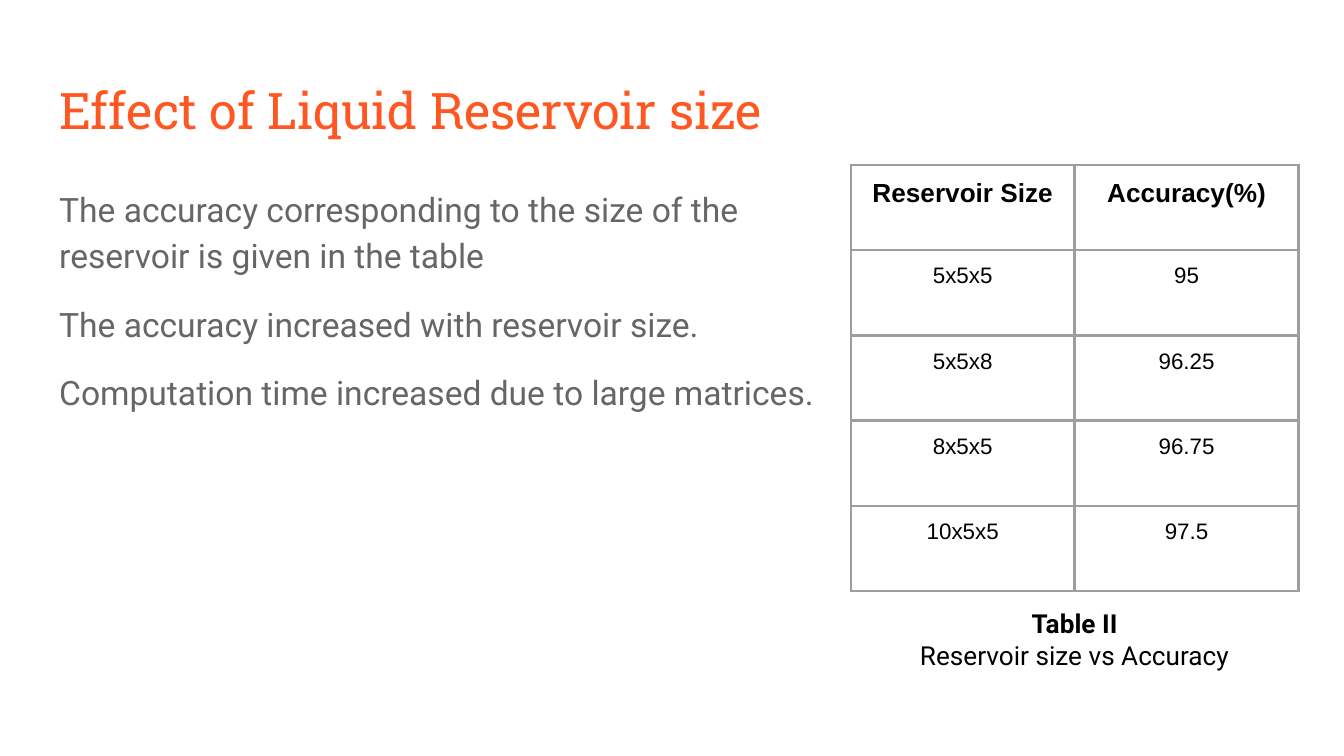
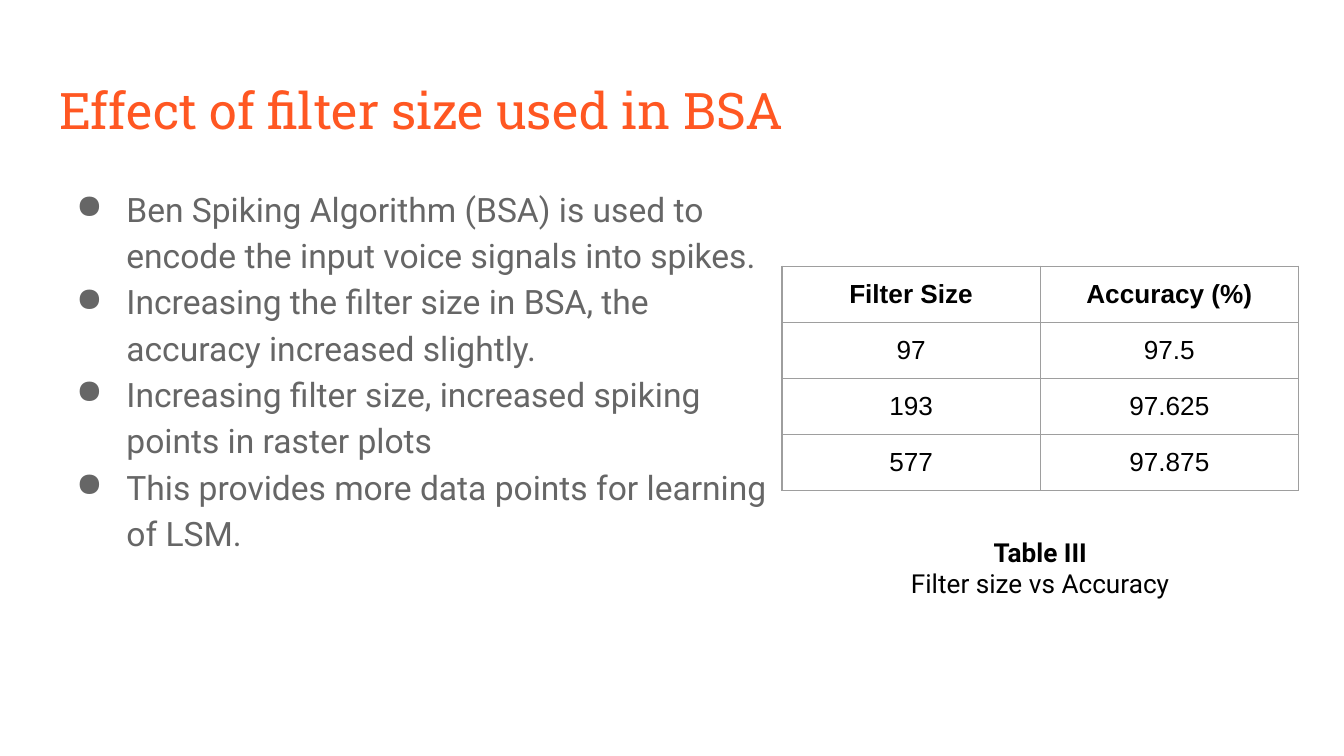
from dataclasses import dataclass

from lxml.etree import SubElement
from pptx import Presentation
from pptx.dml.color import RGBColor
from pptx.enum.text import MSO_ANCHOR, MSO_AUTO_SIZE, PP_ALIGN
from pptx.oxml.ns import qn
from pptx.util import Cm, Pt


@dataclass(frozen=True)
class Theme:
    accent: str = "FF5722"
    body: str = "666666"
    ink: str = "000000"
    border: str = "9E9E9E"
    background: str = "FFFFFF"
    title_font: str = "Roboto Slab"
    text_font: str = "Roboto"
    table_font: str = "Arial"
    title_size: int = 27
    body_size: int = 18
    label_size: int = 14
    small_size: int = 12


THEME = Theme()
SLIDE_WIDTH, SLIDE_HEIGHT = Cm(25.4), Cm(14.29)
LEFT, RIGHT = Cm(0.87), Cm(24.54)
TITLE_TOP, TITLE_HEIGHT = Cm(1.24), Cm(1.6)
BODY_TOP, BODY_HEIGHT = Cm(3.2), Cm(9.5)
CAPTION_HEIGHT = Cm(1.7)
INSET = Cm(0.25)
BULLET_INDENT, BULLET_HANG = Cm(1.27), Cm(0.95)

SLIDES = [
    {
        "title": "Effect of Liquid Reservoir size",
        "body": [
            "The accuracy corresponding to the size of the reservoir is given in the table",
            "The accuracy increased with reservoir size.",
            "Computation time increased due to large matrices.",
        ],
        "bulleted": False,
        "rows": [
            ("Reservoir Size", "Accuracy(%)"),
            ("5x5x5", "95"),
            ("5x5x8", "96.25"),
            ("8x5x5", "96.75"),
            ("10x5x5", "97.5"),
        ],
        "table_left": Cm(16.08),
        "table_top": Cm(3.12),
        "row_height": Cm(1.61),
        "border_width": Pt(1.5),
        "value_size": THEME.small_size,
        "anchor": MSO_ANCHOR.TOP,
        "caption": ("Table II", "Reservoir size vs Accuracy"),
        "caption_top": Cm(11.23),
    },
    {
        "title": "Effect of filter size used in BSA",
        "body": [
            "Ben Spiking Algorithm (BSA) is used to encode the input voice signals into spikes.",
            "Increasing the filter size in BSA, the accuracy increased slightly.",
            "Increasing filter size, increased spiking points in raster plots",
            "This provides more data points for learning of LSM.",
        ],
        "bulleted": True,
        "rows": [
            ("Filter Size", "Accuracy (%)"),
            ("97", "97.5"),
            ("193", "97.625"),
            ("577", "97.875"),
        ],
        "table_left": Cm(14.78),
        "table_top": Cm(5.03),
        "row_height": Cm(1.06),
        "border_width": Pt(0.75),
        "value_size": THEME.label_size,
        "anchor": MSO_ANCHOR.MIDDLE,
        "caption": ("Table III", "Filter size vs Accuracy"),
        "caption_top": Cm(9.88),
    },
]


def set_font(paragraph, name, size, color, bold=False):
    font = paragraph.font
    font.name, font.size, font.bold = name, Pt(size), bold
    font.color.rgb = RGBColor.from_string(color)


def set_insets(target):
    target.margin_left = target.margin_right = INSET
    target.margin_top = target.margin_bottom = INSET


def fill_frame(frame, lines, anchor=MSO_ANCHOR.TOP):
    set_insets(frame)
    frame.word_wrap = True
    frame.auto_size = MSO_AUTO_SIZE.NONE
    frame.vertical_anchor = anchor
    frame.text = "\n".join(lines)
    return frame.paragraphs


def add_bullet(paragraph):
    properties = paragraph._p.get_or_add_pPr()
    properties.set("marL", str(BULLET_INDENT))
    properties.set("indent", str(-BULLET_HANG))
    color = SubElement(properties, qn("a:buClr"))
    SubElement(color, qn("a:srgbClr"), val=THEME.body)
    SubElement(properties, qn("a:buChar"), char="●")


def set_borders(cell, width):
    properties = cell._tc.get_or_add_tcPr()
    for side in ("lnL", "lnR", "lnT", "lnB"):
        line = SubElement(properties, qn(f"a:{side}"), w=str(width))
        fill = SubElement(line, qn("a:solidFill"))
        SubElement(fill, qn("a:srgbClr"), val=THEME.border)


def add_title(slide, text):
    title = slide.shapes.title
    title.left, title.top = LEFT, TITLE_TOP
    title.width, title.height = RIGHT - LEFT, TITLE_HEIGHT
    paragraph = fill_frame(title.text_frame, [text])[0]
    paragraph.alignment = PP_ALIGN.LEFT
    set_font(paragraph, THEME.title_font, THEME.title_size, THEME.accent)


def add_body(slide, content):
    width = content["table_left"] - LEFT
    box = slide.shapes.add_textbox(LEFT, BODY_TOP, width, BODY_HEIGHT)
    for index, paragraph in enumerate(fill_frame(box.text_frame, content["body"])):
        set_font(paragraph, THEME.text_font, THEME.body_size, THEME.body)
        paragraph.line_spacing = 1.15
        if content["bulleted"]:
            add_bullet(paragraph)
        elif index:
            paragraph.space_before = Pt(12)


def add_results(slide, content):
    rows, left = content["rows"], content["table_left"]
    width, height = RIGHT - left, content["row_height"] * len(rows)
    table = slide.shapes.add_table(
        len(rows), len(rows[0]), left, content["table_top"], width, height
    ).table
    table.first_row = table.horz_banding = False
    for row_index, values in enumerate(rows):
        header = row_index == 0
        size = THEME.label_size if header else content["value_size"]
        for column_index, value in enumerate(values):
            cell = table.cell(row_index, column_index)
            cell.text = value
            set_insets(cell)
            cell.vertical_anchor = content["anchor"]
            set_borders(cell, content["border_width"])
            cell.fill.background()
            paragraph = cell.text_frame.paragraphs[0]
            paragraph.alignment = PP_ALIGN.CENTER
            set_font(paragraph, THEME.table_font, size, THEME.ink, header)


def add_caption(slide, content):
    left = content["table_left"]
    box = slide.shapes.add_textbox(left, content["caption_top"], RIGHT - left, CAPTION_HEIGHT)
    paragraphs = fill_frame(box.text_frame, content["caption"], MSO_ANCHOR.MIDDLE)
    for index, paragraph in enumerate(paragraphs):
        paragraph.alignment = PP_ALIGN.CENTER
        set_font(paragraph, THEME.text_font, THEME.label_size, THEME.ink, index == 0)


def main():
    presentation = Presentation()
    presentation.slide_width, presentation.slide_height = SLIDE_WIDTH, SLIDE_HEIGHT
    background = presentation.slide_master.background.fill
    background.solid()
    background.fore_color.rgb = RGBColor.from_string(THEME.background)
    for content in SLIDES:
        slide = presentation.slides.add_slide(presentation.slide_layouts[5])
        add_title(slide, content["title"])
        add_body(slide, content)
        add_results(slide, content)
        add_caption(slide, content)
    presentation.save("out.pptx")


if __name__ == "__main__":
    main()
